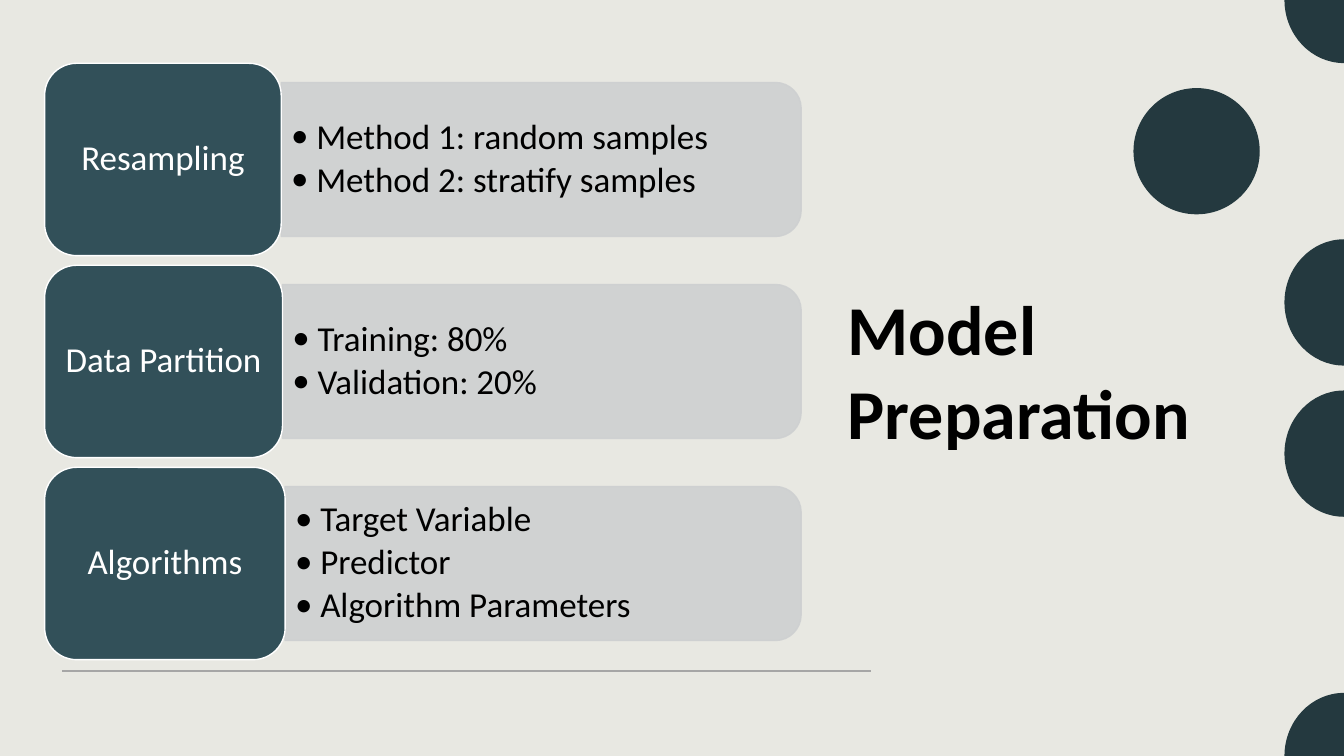
from dataclasses import dataclass

from lxml import etree
from pptx import Presentation
from pptx import util as u
from pptx.dml import color
from pptx.enum import shapes, text
from pptx.oxml import ns
from pptx.shapes.autoshape import Shape
from pptx.slide import Slide
from pptx.text.text import TextFrame

Point = tuple[float, float]
Segment = list[Point]

WIDTH, HEIGHT = 960, 540
FONT = "Calibri"
CURVE = 0.55
UNITS_PER_POINT = 100
DOT_RADIUS = 44.6
DOT_LEFT = 918
DOT_PITCH = 108
ROW_LEFT, ROW_TOP, ROW_PITCH = 31.9, 45.2, 144.3
LABEL_HEIGHT = 137.4
PANEL_RIGHT, PANEL_HEIGHT, PANEL_RADIUS = 572.3, 110, 18.4


@dataclass
class Step:
    label: str
    label_width: float
    details: list[str]


STEPS = [
    Step("Resampling", 169, ["Method 1: random samples", "Method 2: stratify samples"]),
    Step("Data Partition", 169.9, ["Training: 80%", "Validation: 20%"]),
    Step("Algorithms", 171.8, ["Target Variable", "Predictor", "Algorithm Parameters"]),
]


def rgb(value: str) -> color.RGBColor:
    return color.RGBColor.from_string(value)


def paint(shape: Shape, fill: str, line: str) -> None:
    shape.shadow.inherit = False
    shape.fill.solid()
    shape.fill.fore_color.rgb = rgb(fill)
    shape.line.color.rgb = rgb(line)
    shape.line.width = u.Pt(1)


def bend(start: Point, corner: Point, end: Point) -> Segment:
    def toward(point: Point) -> Point:
        return tuple(p + (c - p) * CURVE for p, c in zip(point, corner))

    return [toward(start), toward(end), end]


def add_outline(slide: Slide, start: Point, segments: list[Segment]) -> Shape:
    def scaled(point: Point) -> Point:
        return point[0] * UNITS_PER_POINT, point[1] * UNITS_PER_POINT

    builder = slide.shapes.build_freeform(*scaled(start), scale=u.Pt(1) / UNITS_PER_POINT)
    builder.add_line_segments([scaled(p) for segment in segments for p in segment], close=True)
    outline = builder.convert_to_shape()
    lines = iter(list(outline._element.iter(ns.qn("a:lnTo"))))
    for segment in segments:
        first, *others = [next(lines) for _ in segment]
        if others:
            first.tag = ns.qn("a:cubicBezTo")
            for line in others:
                first.append(line[0])
                line.getparent().remove(line)
    return outline


def add_edge_dot(slide: Slide, center_y: float) -> None:
    top, bottom = center_y - DOT_RADIUS, center_y + DOT_RADIUS
    middle = (DOT_LEFT, center_y)
    if center_y == 0:
        start = (DOT_LEFT, 0)
        segments = [[(WIDTH, 0)], [(WIDTH, bottom)], bend((WIDTH, bottom), (DOT_LEFT, bottom), middle)]
    elif center_y == HEIGHT:
        start = (WIDTH, top)
        segments = [[(WIDTH, HEIGHT)], [middle], bend(middle, (DOT_LEFT, top), start)]
    else:
        start = (WIDTH, top)
        segments = [
            [(WIDTH, bottom)],
            bend((WIDTH, bottom), (DOT_LEFT, bottom), middle),
            bend(middle, (DOT_LEFT, top), start),
        ]
    paint(add_outline(slide, start, segments), "24393F", "24393F")


def set_frame(frame: TextFrame, insets: tuple[float, float, float, float], wrap: bool) -> None:
    frame.word_wrap = wrap
    frame.vertical_anchor = text.MSO_ANCHOR.MIDDLE
    frame.margin_left, frame.margin_top, frame.margin_right, frame.margin_bottom = map(u.Pt, insets)


def add_words(frame: TextFrame, lines: list[str], fill: str, after: float, bullet: bool) -> None:
    for index, words in enumerate(lines):
        paragraph = frame.paragraphs[0] if index == 0 else frame.add_paragraph()
        paragraph.alignment = text.PP_ALIGN.LEFT if bullet else text.PP_ALIGN.CENTER
        paragraph.line_spacing = 0.9
        paragraph.space_after = u.Pt(after)
        if bullet:
            paragraph.level = 1
            properties = paragraph._p.get_or_add_pPr()
            properties.set("marL", str(u.Pt(18)))
            properties.set("indent", str(u.Pt(-18)))
            etree.SubElement(properties, ns.qn("a:buFont")).set("typeface", FONT)
            etree.SubElement(properties, ns.qn("a:buChar")).set("char", "•")
        run = paragraph.add_run()
        run.text = words
        run.font.name = FONT
        run.font.size = u.Pt(25)
        run.font.color.rgb = rgb(fill)


def add_panel(slide: Slide, step: Step, top: float) -> None:
    left = ROW_LEFT + step.label_width
    bottom = top + PANEL_HEIGHT
    corner_x = PANEL_RIGHT - PANEL_RADIUS
    upper, lower = (PANEL_RIGHT, top + PANEL_RADIUS), (PANEL_RIGHT, bottom - PANEL_RADIUS)
    panel = add_outline(slide, upper, [
        [lower],
        bend(lower, (PANEL_RIGHT, bottom), (corner_x, bottom)),
        [(left, bottom)],
        [(left, top)],
        [(corner_x, top)],
        bend((corner_x, top), (PANEL_RIGHT, top), upper),
    ])
    paint(panel, "CED0D1", "CED0D1")
    for tint in panel._element.spPr.iter(ns.qn("a:srgbClr")):
        etree.SubElement(tint, ns.qn("a:alpha")).set("val", "90000")
    set_frame(panel.text_frame, (7.2, 9.4, 13, 9.4), True)
    add_words(panel.text_frame, step.details, "000000", 3.75, True)


def add_label(slide: Slide, step: Step, top: float) -> None:
    label = slide.shapes.add_shape(
        shapes.MSO_SHAPE.ROUNDED_RECTANGLE,
        u.Pt(ROW_LEFT), u.Pt(top), u.Pt(step.label_width), u.Pt(LABEL_HEIGHT),
    )
    paint(label, "325059", "FFFFFF")
    set_frame(label.text_frame, (7.5, 4, 7.5, 4), False)
    add_words(label.text_frame, [step.label], "FFFFFF", 8.75, False)


def add_baseline(slide: Slide) -> None:
    baseline = slide.shapes.add_connector(
        shapes.MSO_CONNECTOR.STRAIGHT, u.Pt(44.6), u.Pt(479.4), u.Pt(622), u.Pt(479.4)
    )
    baseline.line.color.rgb = rgb("A6A6A6")
    baseline.line.width = u.Pt(1)
    etree.SubElement(baseline._element.spPr, ns.qn("a:effectLst"))


def add_title(slide: Slide) -> None:
    title = slide.shapes.add_textbox(u.Pt(598.3), u.Pt(200.2), u.Pt(329.8), u.Pt(139.7))
    title.text_frame.word_wrap = True
    run = title.text_frame.paragraphs[0].add_run()
    run.text = "Model Preparation"
    run.font.name = FONT
    run.font.size = u.Pt(50)
    run.font.bold = True
    run.font.color.rgb = rgb("000000")


def main() -> None:
    deck = Presentation()
    deck.slide_width, deck.slide_height = u.Pt(WIDTH), u.Pt(HEIGHT)
    slide = deck.slides.add_slide(deck.slide_layouts[6])
    slide.background.fill.solid()
    slide.background.fill.fore_color.rgb = rgb("E8E8E2")

    lone_dot = slide.shapes.add_shape(
        shapes.MSO_SHAPE.OVAL,
        u.Pt(854.7 - DOT_RADIUS), u.Pt(DOT_PITCH - DOT_RADIUS),
        u.Pt(2 * DOT_RADIUS), u.Pt(2 * DOT_RADIUS),
    )
    paint(lone_dot, "24393F", "24393F")
    for position in (0, 2, 3, 5):
        add_edge_dot(slide, position * DOT_PITCH)

    add_baseline(slide)
    for index, step in enumerate(STEPS):
        top = ROW_TOP + index * ROW_PITCH
        add_panel(slide, step, top + (LABEL_HEIGHT - PANEL_HEIGHT) / 2)
        add_label(slide, step, top)
    add_title(slide)
    deck.save("out.pptx")


if __name__ == "__main__":
    main()
